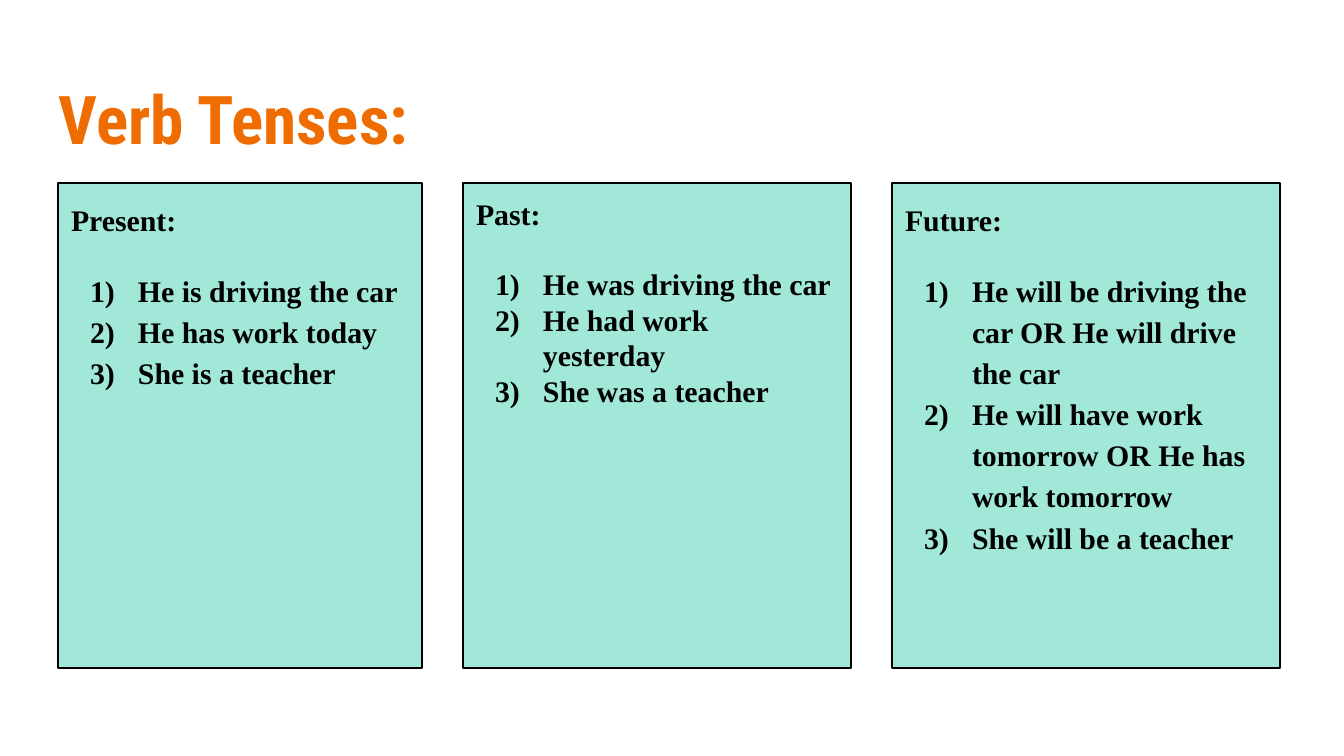
"""Build a slide that compares the present, past and future tenses."""
from lxml import etree
from pptx import Presentation
from pptx.dml.color import RGBColor
from pptx.enum.shapes import MSO_SHAPE
from pptx.enum.text import MSO_ANCHOR, MSO_AUTO_SIZE, PP_ALIGN
from pptx.oxml.ns import qn
from pptx.util import Pt

TITLE = "Verb Tenses:"
CARDS = [
    dict(head="Present:", width=364, line=1.15, gap=16,
         items=["He is driving the car", "He has work today", "She is a teacher"]),
    dict(head="Past:", width=388, line=1.0, gap=18,
         items=["He was driving the car", "He had work yesterday", "She was a teacher"]),
    dict(head="Future:", width=388, line=1.15, gap=16,
         items=["He will be driving the car OR He will drive the car",
                "He will have work tomorrow OR He has work tomorrow",
                "She will be a teacher"]),
]

RECT = MSO_SHAPE.RECTANGLE
TOP, MIDDLE = MSO_ANCHOR.TOP, MSO_ANCHOR.MIDDLE
NO_FIT = MSO_AUTO_SIZE.NONE
LEFT = PP_ALIGN.LEFT
ORANGE = RGBColor(0xEF, 0x6C, 0x00)
MINT = RGBColor(0xA1, 0xE8, 0xD9)
BLACK = RGBColor(0, 0, 0)
WHITE = RGBColor(255, 255, 255)

SCALE = 914400 / 134.4
CARD_X, CARD_Y, CARD_H, CARD_GAP = 58, 183, 485, 41
INSET, INDENT, HANG = 13, 67, -48
HEADING = dict(name="Roboto Condensed", size=Pt(36), bold=True)
BODY = dict(name="Times New Roman", size=Pt(16), bold=True)


def px(num):
    return round(num * SCALE)


def apply(obj, form):
    for key, value in form.items():
        setattr(obj, key, value)


def set_frame(frame, anchor):
    apply(frame, dict(word_wrap=True, auto_size=NO_FIT, vertical_anchor=anchor))
    apply(frame, {f"margin_{side}": px(INSET)
                  for side in ("left", "right", "top", "bottom")})


def write(para, text, font, color, **form):
    run = para.add_run()
    run.text = text
    apply(run.font, font)
    run.font.color.rgb = color
    apply(para, dict(alignment=LEFT, **form))


def number(para):
    props = para._p.get_or_add_pPr()
    props.set("marL", str(px(INDENT)))
    props.set("indent", str(px(HANG)))
    tint = etree.SubElement(props, qn("a:buClr"))
    etree.SubElement(tint, qn("a:srgbClr"), val=str(BLACK))
    etree.SubElement(props, qn("a:buFont"), typeface=BODY["name"])
    etree.SubElement(props, qn("a:buAutoNum"), type="arabicParenR")


def add_title(slide):
    title = slide.shapes.title
    apply(title, dict(left=px(46), top=px(66), width=px(1252), height=px(103)))
    title.fill.solid()
    title.fill.fore_color.rgb = WHITE
    set_frame(title.text_frame, MIDDLE)
    write(title.text_frame.paragraphs[0], TITLE, HEADING, ORANGE)


def add_card(slide, x, card):
    box = slide.shapes.add_shape(RECT, px(x), px(CARD_Y), px(card["width"]), px(CARD_H))
    box.shadow.inherit = False
    box.fill.solid()
    box.fill.fore_color.rgb = MINT
    box.line.color.rgb = BLACK
    box.line.width = Pt(0.75)
    frame = box.text_frame
    set_frame(frame, TOP)
    write(frame.paragraphs[0], card["head"], BODY, BLACK, line_spacing=card["line"])
    for i, item in enumerate(card["items"]):
        para = frame.add_paragraph()
        space = Pt(0 if i else card["gap"])
        write(para, item, BODY, BLACK, line_spacing=card["line"], space_before=space)
        number(para)


def main():
    deck = Presentation()
    apply(deck, dict(slide_width=px(1344), slide_height=px(756)))
    slide = deck.slides.add_slide(deck.slide_layouts[5])
    add_title(slide)
    x = CARD_X
    for card in CARDS:
        add_card(slide, x, card)
        x += card["width"] + CARD_GAP
    deck.save("out.pptx")


if __name__ == "__main__":
    main()
